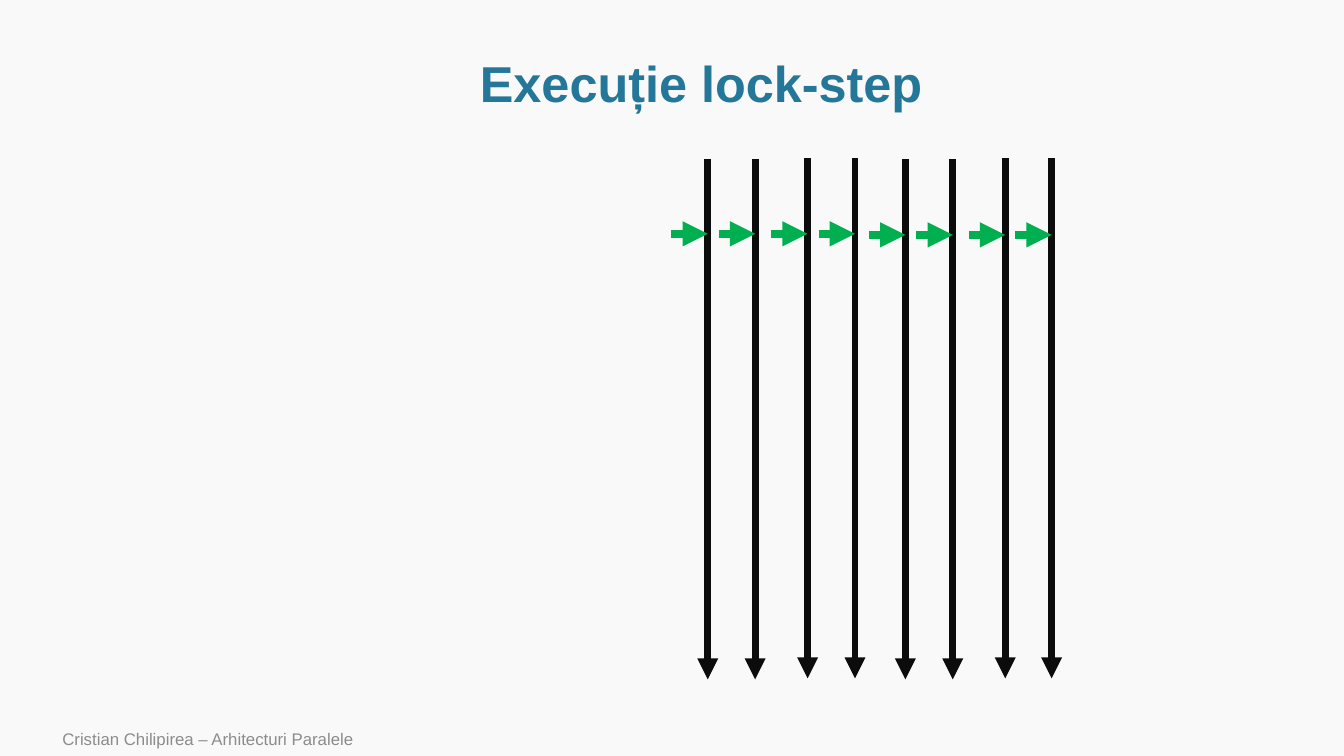
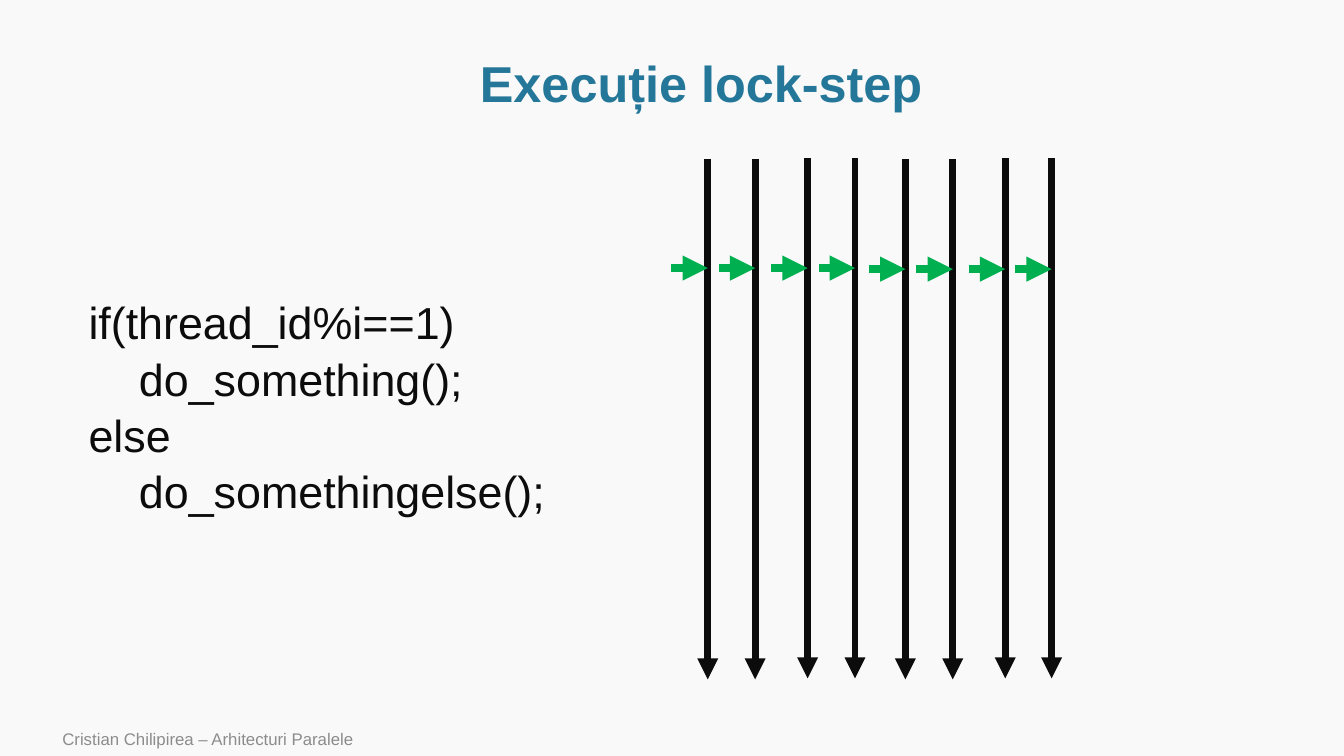
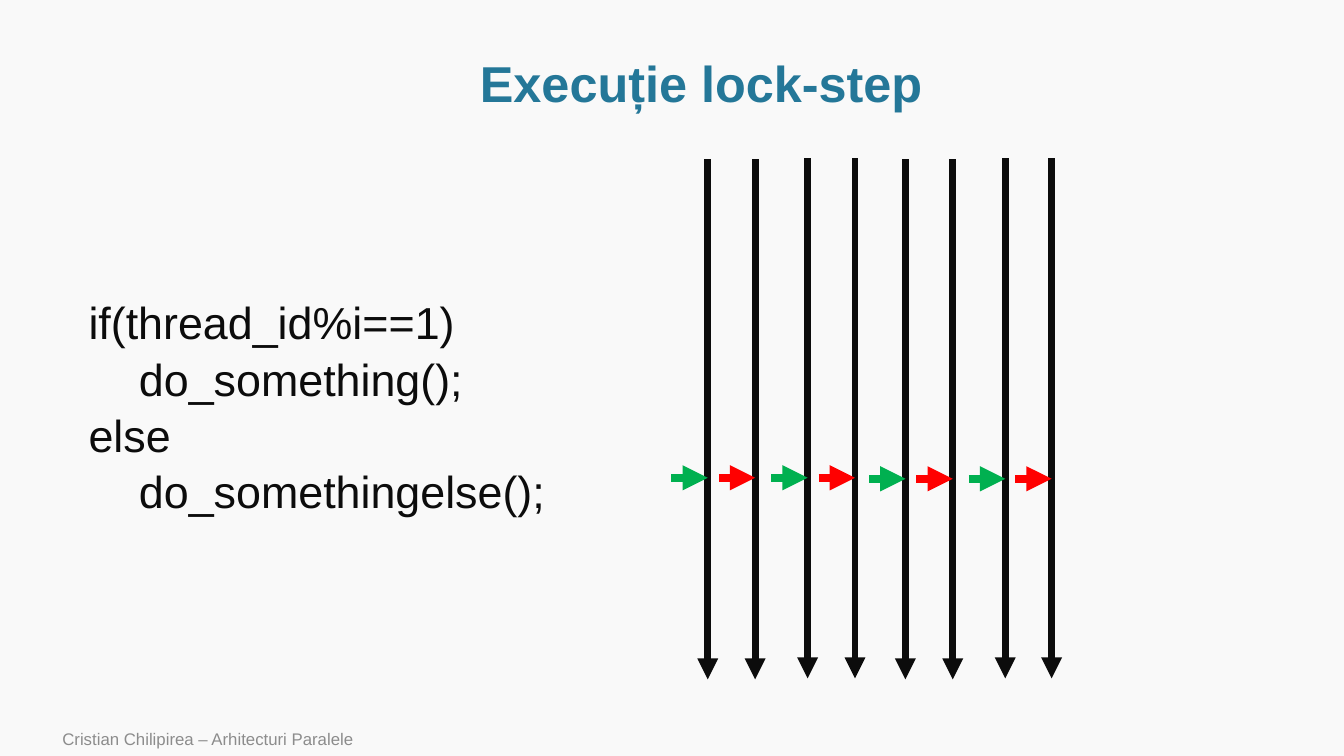
from dataclasses import dataclass

from lxml import etree
from pptx import Presentation
from pptx.dml.color import RGBColor
from pptx.enum.shapes import MSO_CONNECTOR
from pptx.enum.text import MSO_ANCHOR, MSO_AUTO_SIZE, PP_ALIGN
from pptx.oxml.ns import qn
from pptx.slide import Slide
from pptx.util import Emu, Pt

STRAIGHT = MSO_CONNECTOR.STRAIGHT
TOP, MIDDLE = MSO_ANCHOR.TOP, MSO_ANCHOR.MIDDLE
LEFT, CENTER = PP_ALIGN.LEFT, PP_ALIGN.CENTER
FIT = MSO_AUTO_SIZE.SHAPE_TO_FIT_TEXT

# Shared look
SCALE = 9144  # EMU in one px, 100 px to the inch
FONT = "Arial"
PAPER, INK, TEAL, GREY = "F9F9F9", "0C0C0C", "247798", "8C8C8C"
GREEN, RED = "00B050", "FF0000"
TITLE = "Execuție lock-step"
FOOTER = "Cristian Chilipirea – Arhitecturi Paralele"
CODE = "if(thread_id%i==1)\n\tdo_something();\nelse\n\tdo_somethingelse();"
LANE_LEN, STEP_LEN = 516, 36


@dataclass
class Lane:
    x: int
    top: int
    dip: int  # small drop of the step arrow


@dataclass
class Scene:
    step: int  # height of the current step
    odd: str = GREEN  # colour of every second step arrow
    code: str = ""


LANES = [
    Lane(x, 158 - i // 2 % 2, i // 4)
    for i, x in enumerate((702, 749, 801, 848, 898, 945, 997, 1043))
]
SCENES = [Scene(232), Scene(266, code=CODE), Scene(474, RED, CODE)]


def px(n: int) -> Emu:
    return Emu(n * SCALE)


def color(code: str) -> RGBColor:
    return RGBColor.from_string(code)


def text(slide: Slide, body: str, x: int, y: int, w: int, h: int, *,
         size: int, hue: str, bold: bool = False, align: PP_ALIGN = LEFT,
         anchor: MSO_ANCHOR = MIDDLE, space: float = 1.0,
         wrap: bool = True) -> None:
    box = slide.shapes.add_textbox(px(x), px(y), px(w), px(h))
    frame = box.text_frame
    frame.word_wrap = wrap
    frame.vertical_anchor = anchor
    if not wrap:
        frame.auto_size = FIT
    frame.text = body
    for para in frame.paragraphs:
        para.alignment = align
        para.line_spacing = space
        for run in para.runs:
            font = run.font
            font.name, font.size, font.bold = FONT, Pt(size), bold
            font.color.rgb = color(hue)


def arrow(slide: Slide, x1: int, y1: int, x2: int, y2: int,
          hue: str, width: int) -> None:
    link = slide.shapes.add_connector(STRAIGHT, px(x1), px(y1), px(x2), px(y2))
    link.line.color.rgb = color(hue)
    link.line.width = Pt(width)
    line = link.line._get_or_add_ln()
    etree.SubElement(line, qn("a:tailEnd"), type="triangle")
    etree.SubElement(link._element.spPr, qn("a:effectLst"))


def draw(slide: Slide, scene: Scene) -> None:
    # Footer and title
    text(slide, FOOTER, 52, 716, 840, 34, size=12, hue=GREY)
    text(slide, TITLE, 114, 51, 1163, 69, size=36, hue=TEAL, bold=True,
         align=CENTER, space=0.9)
    # Threads, each with its step arrow
    for i, lane in enumerate(LANES):
        arrow(slide, lane.x, lane.top, lane.x, lane.top + LANE_LEN, INK, 5)
        y = scene.step + lane.dip
        hue = scene.odd if i % 2 else GREEN
        arrow(slide, lane.x - STEP_LEN, y, lane.x, y, hue, 6)
    # Branching code
    if scene.code:
        text(slide, scene.code, 78, 285, 527, 226, size=32, hue=INK,
             anchor=TOP, space=1.05, wrap=False)


def main() -> None:
    prs = Presentation()
    prs.slide_width, prs.slide_height = px(1333), px(750)
    fill = prs.slide_master.background.fill
    fill.solid()
    fill.fore_color.rgb = color(PAPER)
    for scene in SCENES:
        draw(prs.slides.add_slide(prs.slide_layouts[6]), scene)
    prs.save("out.pptx")


if __name__ == "__main__":
    main()
